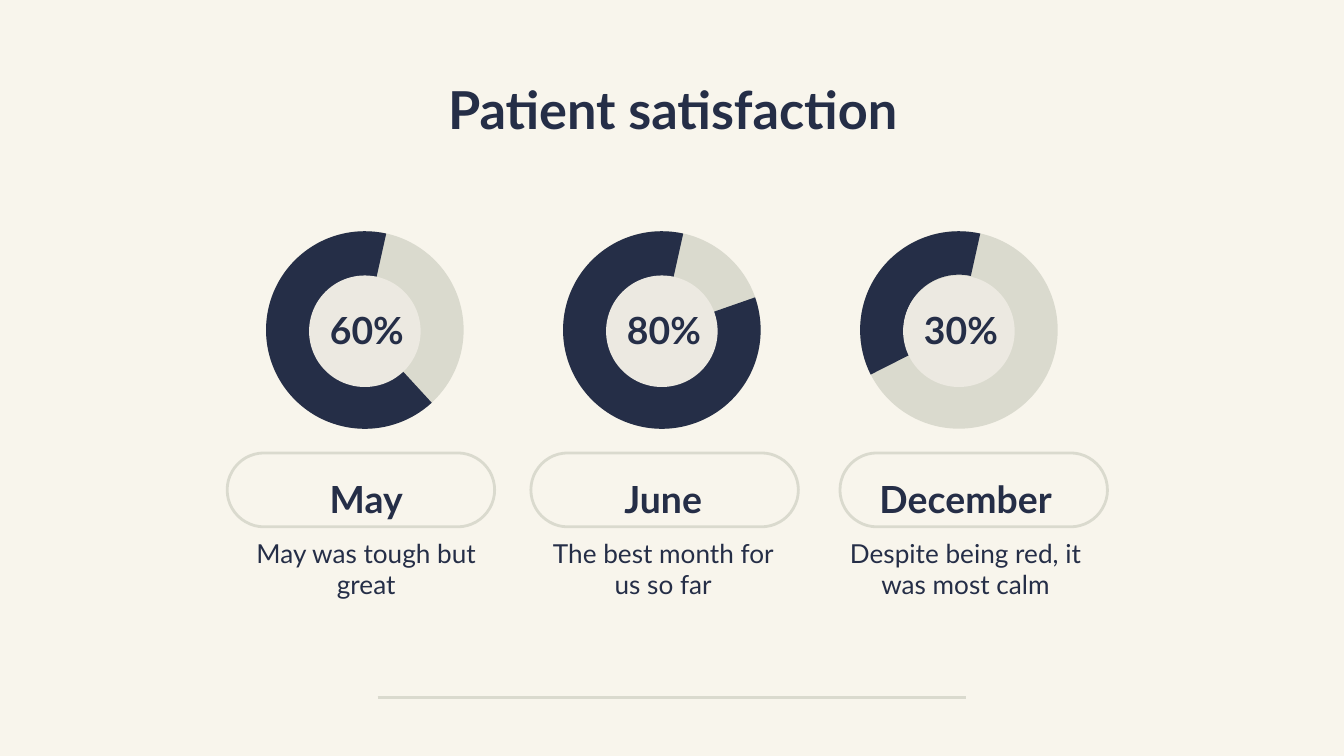
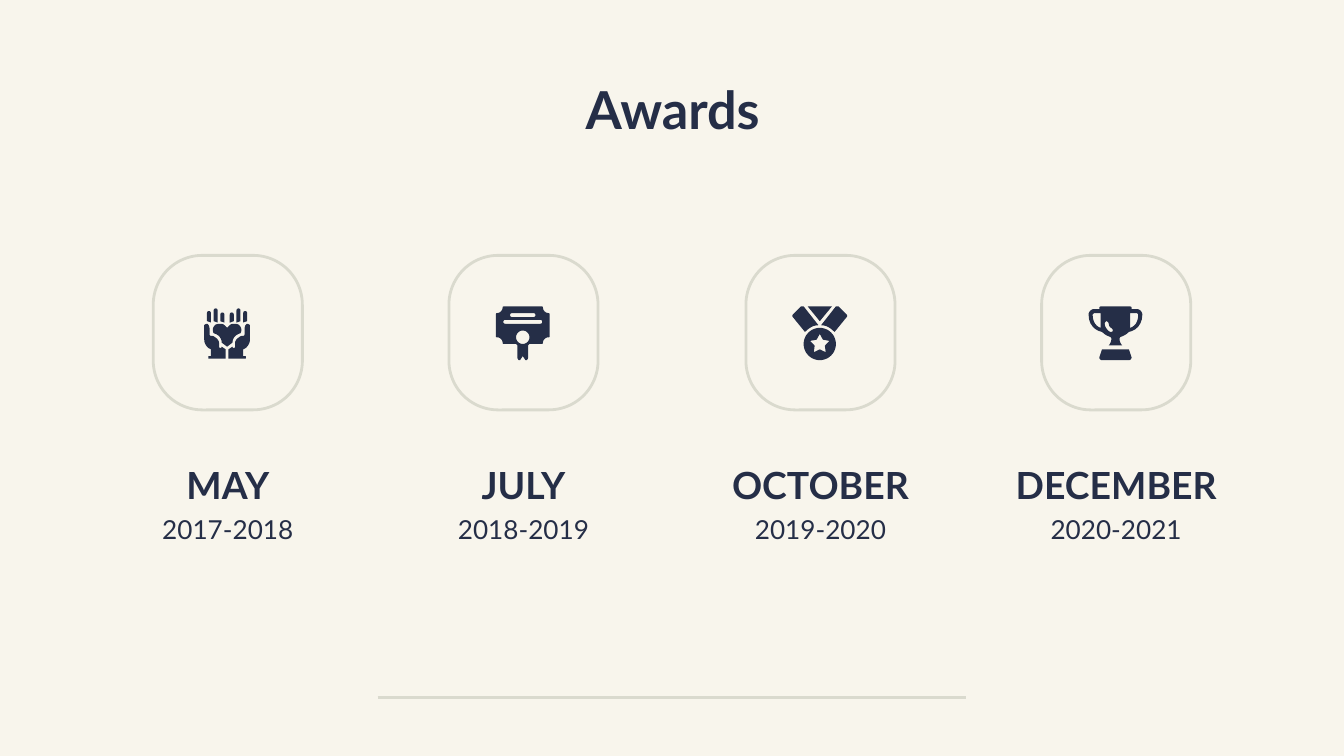
import math

import lxml.etree
import pptx
import pptx.dml.color
import pptx.enum.shapes
import pptx.enum.text
import pptx.oxml.ns
import pptx.util

PX = 9144  # EMU in one px, 100 px to the inch
RGB = pptx.dml.color.RGBColor
CREAM = RGB(0xF8, 0xF5, 0xEC)
NAVY = RGB(0x25, 0x2E, 0x47)
SAGE = RGB(0xDA, 0xDA, 0xCE)
PALE = RGB(0xEC, 0xE9, 0xE1)
FONT = "Lato"
KIND = pptx.enum.shapes.MSO_SHAPE
MID = pptx.enum.text.MSO_ANCHOR.MIDDLE
TOP = pptx.enum.text.MSO_ANCHOR.TOP

ICON = 40  # side of the square in which each icon is drawn

# month, donut left, text left, pill left, arc end, arc thickness, share, note
MONTHS = [
    ("May", 198, 174, 169, 312.6, 0.24, "60%", "May was tough but great"),
    ("June", 419, 395, 395, 19.3, 0.23, "80%", "The best month for us so far"),
    ("December", 640, 620, 625, 206.8, 0.22, "30%",
     "Despite being red, it was most calm"),
]


def scale(*sizes):
    return [pptx.util.Emu(size * PX) for size in sizes]


def write(slide, box, text, size, bold=False, anchor=MID, space=None):
    frame = slide.shapes.add_textbox(*scale(*box)).text_frame
    frame.word_wrap = True
    frame.vertical_anchor = anchor
    frame.margin_left = frame.margin_right = scale(10)[0]
    frame.margin_top = frame.margin_bottom = scale(10)[0]
    para = frame.paragraphs[0]
    para.text = text
    para.alignment = pptx.enum.text.PP_ALIGN.CENTER
    if space:
        para.line_spacing = space
    para.font.name = FONT
    para.font.size = pptx.util.Pt(size)
    para.font.bold = bold
    para.font.color.rgb = NAVY


def paint(shape, fill):
    shape.shadow.inherit = False
    shape.fill.solid()
    shape.fill.fore_color.rgb = fill
    shape.line.fill.background()


def add_fill(slide, kind, box, fill):
    shape = slide.shapes.add_shape(kind, *scale(*box))
    paint(shape, fill)
    return shape


def add_frame(slide, box, round_by):
    """Draw an empty outlined box with round corners."""
    shape = slide.shapes.add_shape(KIND.ROUNDED_RECTANGLE, *scale(*box))
    shape.adjustments[0] = round_by
    shape.shadow.inherit = False
    shape.fill.background()
    shape.line.color.rgb = SAGE
    shape.line.width = pptx.util.Pt(1.5)


def add_slide(deck, title):
    """Add a slide with the shared background, title and footer line."""
    slide = deck.slides.add_slide(deck.slide_layouts[6])
    slide.background.fill.solid()
    slide.background.fill.fore_color.rgb = CREAM
    rule = slide.shapes.add_connector(
        pptx.enum.shapes.MSO_CONNECTOR.STRAIGHT, *scale(281, 519, 719, 519))
    rule.line.color.rgb = SAGE
    rule.line.width = pptx.util.Pt(1.5)
    lxml.etree.SubElement(rule._element.spPr, pptx.oxml.ns.qn("a:effectLst"))
    write(slide, (79, 49, 843, 63), title, 28, bold=True)
    return slide


def add_donut(slide, left, top, end, thick, share):
    add_fill(slide, KIND.OVAL, (left, top, 147, 147), SAGE)
    arc = add_fill(slide, KIND.BLOCK_ARC, (left, top, 147, 147), NAVY)
    arc.rotation = 180
    arc._element.spPr.xfrm.set("flipH", "1")
    # Angles are stored in 1/60000 degree, adjustments count in 100000
    arc.adjustments[0] = 77.5 * 0.6
    arc.adjustments[1] = end * 0.6
    arc.adjustments[2] = thick
    add_fill(slide, KIND.OVAL, (left + 32, top + 33, 83, 83), PALE)
    write(slide, (left + 25, top + 45, 100, 57), share, 20, bold=True)


def add_scores(deck):
    slide = add_slide(deck, "Patient satisfaction")
    for month, ring, text, pill, end, thick, share, note in MONTHS:
        add_donut(slide, ring, 172, end, thick, share)
        write(slide, (text, 388, 197, 70), note, 14)
        write(slide, (text, 339, 197, 50), month, 20, True, TOP, 1.15)
        add_frame(slide, (pill, 337, 199, 55), 0.5)


def trace(*steps):
    """Turn points and cubic curves (six numbers) into a list of points."""
    points = []
    for step in steps:
        if len(step) == 2:
            points.append(step)
            continue
        x0, y0 = points[-1]
        x1, y1, x2, y2, x3, y3 = step
        for part in range(1, 7):
            t = part / 6
            a, b, c, d = (1 - t)**3, 3*t*(1 - t)**2, 3*t*t*(1 - t), t**3
            points.append((a*x0 + b*x1 + c*x2 + d*x3,
                           a*y0 + b*y1 + c*y2 + d*y3))
    return points


def flip(points):
    return [(ICON - x, y) for x, y in reversed(points)]


def whole(*steps):
    """Close a left half with its mirrored right half."""
    half = trace(*steps)
    return half + flip(half)


def spin(x, y, count, *radii):
    """Place points round a centre, taking the radii in turn."""
    points = []
    for i in range(count):
        turn = 2 * math.pi * i / count
        radius = radii[i % len(radii)]
        points.append((x + radius * math.sin(turn),
                       y - radius * math.cos(turn)))
    return points


def finger(left, top):
    right = left + 3
    return trace((left, 11), (left, top + 2),
                 (left, top, right, top, right, top + 2), (right, 12))


def both(*halves):
    """Make one part of each left outline and one of its mirror."""
    return [[side] for half in halves for side in (half, flip(half))]


def hands():
    heart = whole(
        (20, 16), (18, 14), (17, 13, 16, 13, 15, 13), (14, 13, 12, 13, 11, 14),
        (9, 16, 9, 18, 10, 20), (14, 21, 16, 24, 16, 27), (20, 30))
    palm = trace(
        (5, 13), (4, 13, 3, 14, 3, 14), (3, 25), (3, 27, 4, 29, 6, 31),
        (8, 32), (8, 37), (7, 37), (6, 37, 6, 37, 6, 38),
        (6, 39, 6, 39, 7, 39), (19, 39), (19, 32), (16, 30),
        (16, 30, 16, 31, 15, 31), (14, 31, 14, 30, 14, 30), (14, 27),
        (14, 26, 13, 24, 11, 23), (10, 22, 9, 22, 8, 22),
        (8, 22, 7, 22, 7, 21), (7, 17), (7, 15, 6, 13, 5, 13))
    return [[heart]] + both(finger(5, 3), finger(10, 1), finger(15, 4), palm)


def diploma():
    sheet = whole(
        (6, 0), (6, 0, 5, 0, 5, 1), (5, 3, 3, 5, 1, 5), (0, 5, 0, 6, 0, 6),
        (0, 22), (0, 23, 0, 23, 1, 23), (3, 23, 5, 25, 5, 27),
        (5, 28, 6, 28, 6, 28), (15, 28), (16, 29), (16, 38),
        (16, 39, 17, 40, 17, 40), (18, 40), (20, 37))
    bars = [whole((left, top), (left - 2, top, left - 2, top + 3,
                                left, top + 3))
            for left, top in ((12, 5), (7, 10))]
    return [[sheet, *bars, spin(20, 23, 32, 5)]]


def medal():
    disc = [spin(20, 28, 48, 12), spin(20, 28, 10, 7.5, 4)]
    band = trace((7, 0), (6, 0), (0, 6), (0, 6, -1, 7, 0, 8), (9, 19),
                 (12, 16, 15, 14, 19, 14), (8, 0))
    return [disc, [whole((11, 0), (20, 11))]] + both(band)


def trophy():
    cup = whole(
        (10, 0), (9, 0, 8, 0, 8, 1), (8, 2), (4, 2), (2, 2, 0, 4, 0, 6),
        (0, 14, 5, 18, 10, 19), (14, 23, 17, 22, 17, 24),
        (17, 26, 16, 28, 15, 29))
    grip = trace((9, 5), (9, 12), (9, 13, 9, 14, 9, 16),
                 (6, 15, 3, 12, 3, 6), (3, 6, 4, 5, 4, 5))
    shine = trace(
        (13, 11), (14, 11, 15, 12, 15, 13), (15, 14, 16, 16, 17, 16),
        (18, 17, 18, 17, 18, 18), (18, 19, 17, 19, 16, 19),
        (14, 18, 12, 15, 12, 13), (12, 12, 13, 11, 13, 11))
    base = whole((10, 32), (8, 38), (8, 39, 9, 40, 10, 40))
    return [[cup, grip, flip(grip), shine], [base]]


def add_icon(slide, left, top, parts):
    """Draw each part as one freeform; inner outlines become holes."""
    for part in parts:
        pen = None
        for outline in part:
            spots = [((left + x) * PX, (top + y) * PX) for x, y in outline]
            if pen is None:
                pen = slide.shapes.build_freeform(*spots[0])
            else:
                pen.move_to(*spots[0])
            pen.add_line_segments(spots[1:], close=True)
        paint(pen.convert_to_shape(), NAVY)


def add_award(slide, left, top, month, years, parts):
    add_frame(slide, (left, top, 111, 115), 0.33)
    add_icon(slide, left + 35, top + 38, parts)
    write(slide, (left - 37, top + 183, 185, 42), years, 14)
    write(slide, (left - 37, top + 147, 185, 42), month, 20, True, space=1.15)


def add_awards(deck):
    slide = add_slide(deck, "Awards")
    awards = [("MAY", hands), ("JULY", diploma),
              ("OCTOBER", medal), ("DECEMBER", trophy)]
    for i, (month, icon) in enumerate(awards):
        left = 114 + round(i * 661 / 3)
        add_award(slide, left, 190, month, f"{2017 + i}-{2018 + i}", icon())


def main():
    deck = pptx.Presentation()
    deck.slide_width = scale(1000)[0]
    deck.slide_height = deck.slide_width * 9 // 16
    add_scores(deck)
    add_awards(deck)
    deck.save("out.pptx")


if __name__ == "__main__":
    main()
